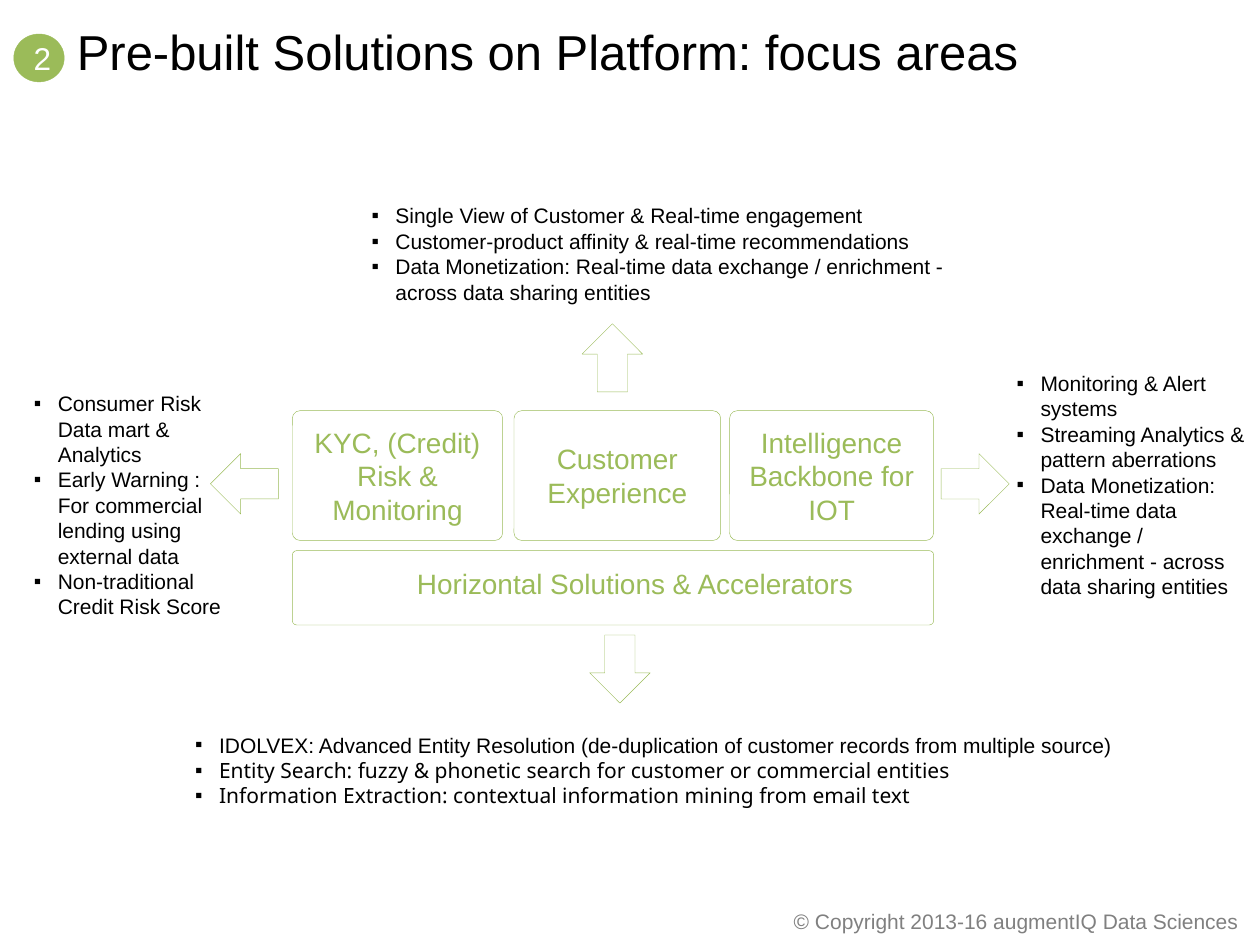
"""Build the slide on pre-built platform solutions and their focus areas."""
from typing import NamedTuple

from lxml import etree
from pptx import Presentation
from pptx.dml.color import RGBColor
from pptx.enum.shapes import MSO_SHAPE
from pptx.enum.text import MSO_ANCHOR, MSO_AUTO_SIZE, PP_ALIGN
from pptx.oxml.ns import qn
from pptx.util import Inches, Pt

ROUNDED, OVAL, ARROW = MSO_SHAPE.ROUNDED_RECTANGLE, MSO_SHAPE.OVAL, MSO_SHAPE.DOWN_ARROW
LEFT, CENTER, RIGHT = PP_ALIGN.LEFT, PP_ALIGN.CENTER, PP_ALIGN.RIGHT
TOP, MIDDLE = MSO_ANCHOR.TOP, MSO_ANCHOR.MIDDLE
NO_AUTOFIT = MSO_AUTO_SIZE.NONE

GREEN = RGBColor(0x9B, 0xBB, 0x59)
WHITE = RGBColor(0xFF, 0xFF, 0xFF)
BLACK = RGBColor(0x00, 0x00, 0x00)
GREY = RGBColor(0x80, 0x80, 0x80)
SANS, ALT_SANS = "Arial", "Noto Sans"
BULLET_INDENT = Inches(0.19)


class Box(NamedTuple):
    left: float
    top: float
    width: float
    height: float


class Card(NamedTuple):
    left: float
    width: float
    label: str


class Arrow(NamedTuple):
    left: float
    top: float
    rotation: int


class Item(NamedTuple):
    text: str
    font: str = SANS


class FocusList(NamedTuple):
    box: Box
    items: list[Item]


CARD_TOP, CARD_HEIGHT = 3.26, 1.03
CARDS = [
    Card(2.32, 1.67, "KYC, (Credit) Risk & Monitoring"),
    Card(4.08, 1.64, "Customer Experience"),
    Card(5.79, 1.62, "Intelligence Backbone for IOT"),
]
ARROWS = [
    Arrow(4.68, 5.04, 0),
    Arrow(1.7, 3.57, 90),
    Arrow(4.62, 2.57, 180),
    Arrow(7.5, 3.57, 270),
]
MONETIZATION = Item("Data Monetization: Real-time data exchange / enrichment - "
                    "across data sharing entities")
FOCUS_LISTS = [
    FocusList(Box(1.45, 5.76, 8.02, 0.71), [
        Item("IDOLVEX: Advanced Entity Resolution (de-duplication of customer "
             "records from multiple source)"),
        Item("Entity Search: fuzzy & phonetic search for customer or commercial entities",
             ALT_SANS),
        Item("Information Extraction: contextual information mining from email text",
             ALT_SANS),
    ]),
    FocusList(Box(0.17, 3.05, 1.75, 1.92), [
        Item("Consumer Risk Data mart & Analytics"),
        Item("Early Warning : For commercial lending using external data"),
        Item("Non-traditional Credit Risk Score"),
    ]),
    FocusList(Box(2.85, 1.56, 4.92, 1.11), [
        Item("Single View of Customer & Real-time engagement"),
        Item("Customer-product affinity & real-time recommendations"),
        MONETIZATION,
    ]),
    FocusList(Box(7.97, 2.89, 2.07, 2.12), [
        Item("Monitoring & Alert systems"),
        Item("Streaming Analytics & pattern aberrations"),
        MONETIZATION,
    ]),
]


def add_run(paragraph, text: str, size: int, color: RGBColor, font: str = SANS) -> None:
    """Append one formatted run."""
    run = paragraph.add_run()
    run.text = text
    run.font.name = font
    run.font.size = Pt(size)
    run.font.color.rgb = color


def write(shape, text: str, size: int, color: RGBColor,
          align=CENTER, anchor=MIDDLE) -> None:
    """Write a single wrapped paragraph into a shape."""
    frame = shape.text_frame
    frame.word_wrap = True
    frame.auto_size = NO_AUTOFIT
    frame.vertical_anchor = anchor
    paragraph = frame.paragraphs[0]
    paragraph.alignment = align
    add_run(paragraph, text, size, color)


def add_text(slide, box: Box):
    """Add an empty text box."""
    return slide.shapes.add_textbox(*map(Inches, box))


def add_figure(slide, kind, box: Box, fill: RGBColor = WHITE):
    """Add a filled shape with a hairline green outline."""
    figure = slide.shapes.add_shape(kind, *map(Inches, box))
    figure.shadow.inherit = False
    figure.fill.solid()
    figure.fill.fore_color.rgb = fill
    figure.line.color.rgb = GREEN
    figure.line.width = Pt(0.25)
    if kind == ROUNDED:
        figure.adjustments[0] = 0.06
    return figure


def add_focus_list(slide, focus: FocusList) -> None:
    """Add a list with square bullets and hanging indents."""
    frame = add_text(slide, focus.box).text_frame
    frame.word_wrap = True
    for index, item in enumerate(focus.items):
        paragraph = frame.add_paragraph() if index else frame.paragraphs[0]
        properties = paragraph._p.get_or_add_pPr()
        properties.set("marL", str(BULLET_INDENT))
        properties.set("indent", str(-BULLET_INDENT))
        etree.SubElement(properties, qn("a:buFont")).set("typeface", SANS)
        etree.SubElement(properties, qn("a:buChar")).set("char", "▪")
        paragraph.line_spacing = Pt(14.5)
        add_run(paragraph, item.text, 12, BLACK, item.font)


def main() -> None:
    """Draw and save the slide."""
    deck = Presentation()
    deck.slide_width, deck.slide_height = Inches(10), Inches(7.5)
    slide = deck.slides.add_slide(deck.slide_layouts[5])

    title = slide.shapes.title
    title.left, title.top, title.width, title.height = map(
        Inches, Box(0.51, 0.12, 8.96, 0.57))
    write(title, "Pre-built Solutions on Platform: focus areas", 28, BLACK, LEFT, TOP)

    badge = add_figure(slide, OVAL, Box(0.11, 0.27, 0.4, 0.38), GREEN)
    write(badge, "2", 18, WHITE)

    add_figure(slide, ROUNDED, Box(2.32, 4.37, 5.09, 0.59))
    accelerators = add_text(slide, Box(2.94, 4.45, 4.2, 0.37))
    write(accelerators, "Horizontal Solutions & Accelerators", 16, GREEN, anchor=TOP)

    for card in CARDS:
        solution = add_figure(slide, ROUNDED,
                              Box(card.left, CARD_TOP, card.width, CARD_HEIGHT))
        write(solution, card.label, 16, GREEN)
    for focus in FOCUS_LISTS:
        add_focus_list(slide, focus)
    for arrow in ARROWS:
        pointer = add_figure(slide, ARROW, Box(arrow.left, arrow.top, 0.48, 0.54))
        pointer.rotation = arrow.rotation

    copyright_line = add_text(slide, Box(4.52, 7.16, 5.41, 0.3))
    write(copyright_line, "© Copyright 2013-16 augmentIQ Data Sciences",
          12, GREY, RIGHT, TOP)
    deck.save("out.pptx")


if __name__ == "__main__":
    main()
